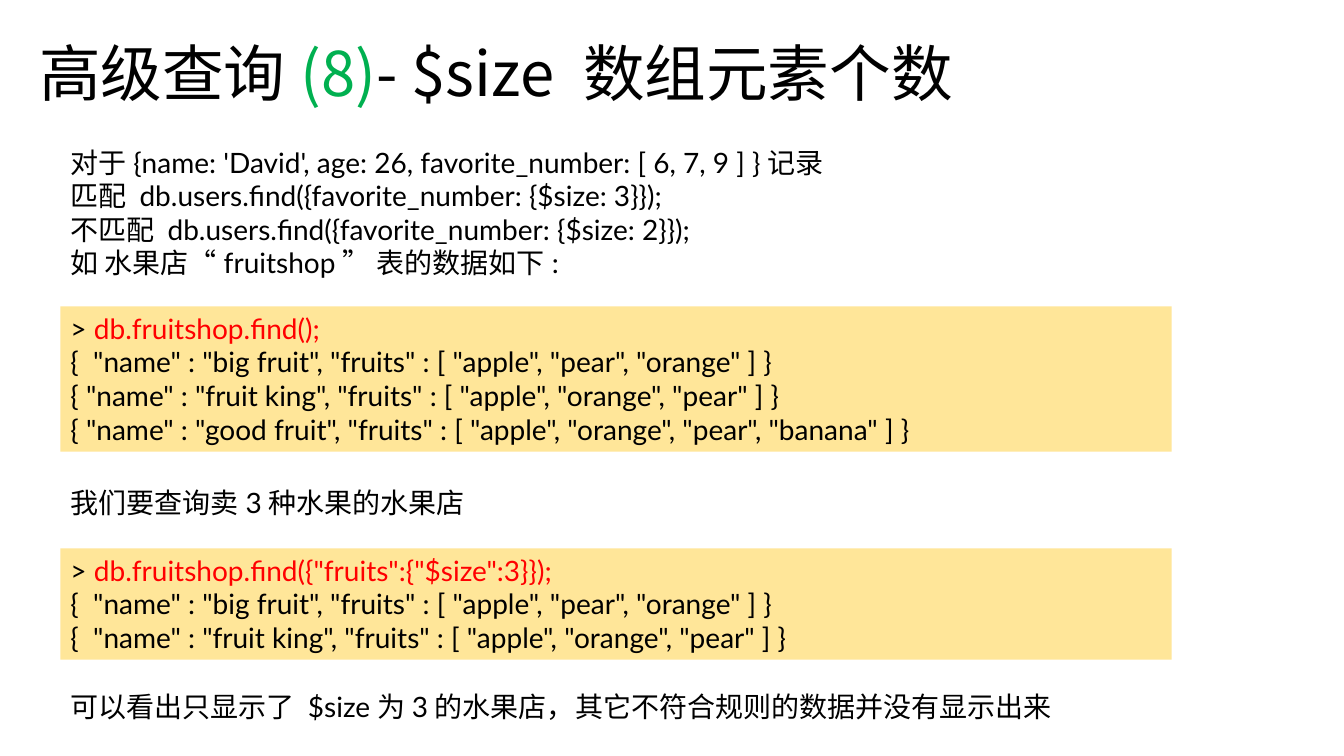
from lxml import etree
from pptx import Presentation, util as u
from pptx.dml.color import RGBColor
from pptx.enum import shapes, text
from pptx.oxml.ns import qn

HUES = {"ink": "000000", "code": "FF0000", "mark": "00B050", "panel": "FFE699"}
SANS, HAN = "Lato", "Noto Sans CJK SC"

deck = Presentation()
deck.slide_width, deck.slide_height = u.Inches(13.33), u.Inches(7.5)
slide = deck.slides.add_slide(deck.slide_layouts[6])


def write(lines, box, size=20, font=SANS, fill=None, space=1.0,
          anchor=text.MSO_ANCHOR.TOP):
    """Each line is a list of (words, hue) runs."""
    place = [u.Inches(n) for n in box]
    if fill:
        shape = slide.shapes.add_shape(shapes.MSO_SHAPE.RECTANGLE, *place)
        shape.shadow.inherit = False
        shape.fill.solid()
        shape.fill.fore_color.rgb = RGBColor.from_string(HUES[fill])
        shape.line.fill.background()
    else:
        shape = slide.shapes.add_textbox(*place)
    frame = shape.text_frame
    frame.word_wrap = True
    frame.vertical_anchor = anchor
    for i, line in enumerate(lines):
        para = frame.paragraphs[0] if i == 0 else frame.add_paragraph()
        para.alignment = text.PP_ALIGN.LEFT
        para.line_spacing = space
        for words, hue in line:
            run = para.add_run()
            run.text = words
            run.font.size = u.Pt(size)
            run.font.name = font
            run.font.color.rgb = RGBColor.from_string(HUES[hue])
            # East Asian typeface
            etree.SubElement(run.font._element, qn("a:ea"), typeface=HAN)


# Title
write([[("高级查询", "ink"), ("(8)", "mark"), ("- $size 数组元素个数", "ink")]],
      (0.29, 0.21, 12.44, 1.1), size=44, font=HAN, space=0.9,
      anchor=text.MSO_ANCHOR.MIDDLE)

# Body: top, command after the prompt (if any), plain lines
body = [
    (1.39, None, [
        "对于{name: 'David', age: 26, favorite_number: [ 6, 7, 9 ] }记录",
        "匹配 db.users.find({favorite_number: {$size: 3}});",
        "不匹配 db.users.find({favorite_number: {$size: 2}});",
        "如 水果店“fruitshop” 表的数据如下:"]),
    (3.04, "db.fruitshop.find();", [
        '{  "name" : "big fruit", "fruits" : [ "apple", "pear", "orange" ] }',
        '{ "name" : "fruit king", "fruits" : [ "apple", "orange", "pear" ] }',
        '{ "name" : "good fruit", "fruits" : '
        '[ "apple", "orange", "pear", "banana" ] }']),
    (4.77, None, ["我们要查询卖3种水果的水果店"]),
    (5.44, 'db.fruitshop.find({"fruits":{"$size":3}});', [
        '{  "name" : "big fruit", "fruits" : [ "apple", "pear", "orange" ] }',
        '{  "name" : "fruit king", "fruits" : [ "apple", "orange", "pear" ] }']),
    (6.79, None, [
        "可以看出只显示了 $size为3的水果店，其它不符合规则的数据并没有显示出来"]),
]
PAD, ROW = 0.1, 0.335
for top, call, rows in body:
    lines = [[(row, "ink")] for row in rows]
    if call:
        lines.insert(0, [("> ", "ink"), (call, "code")])
    write(lines, (0.6, top, 11.02, PAD + ROW * len(lines)),
          fill="panel" if call else None)

deck.save("out.pptx")
